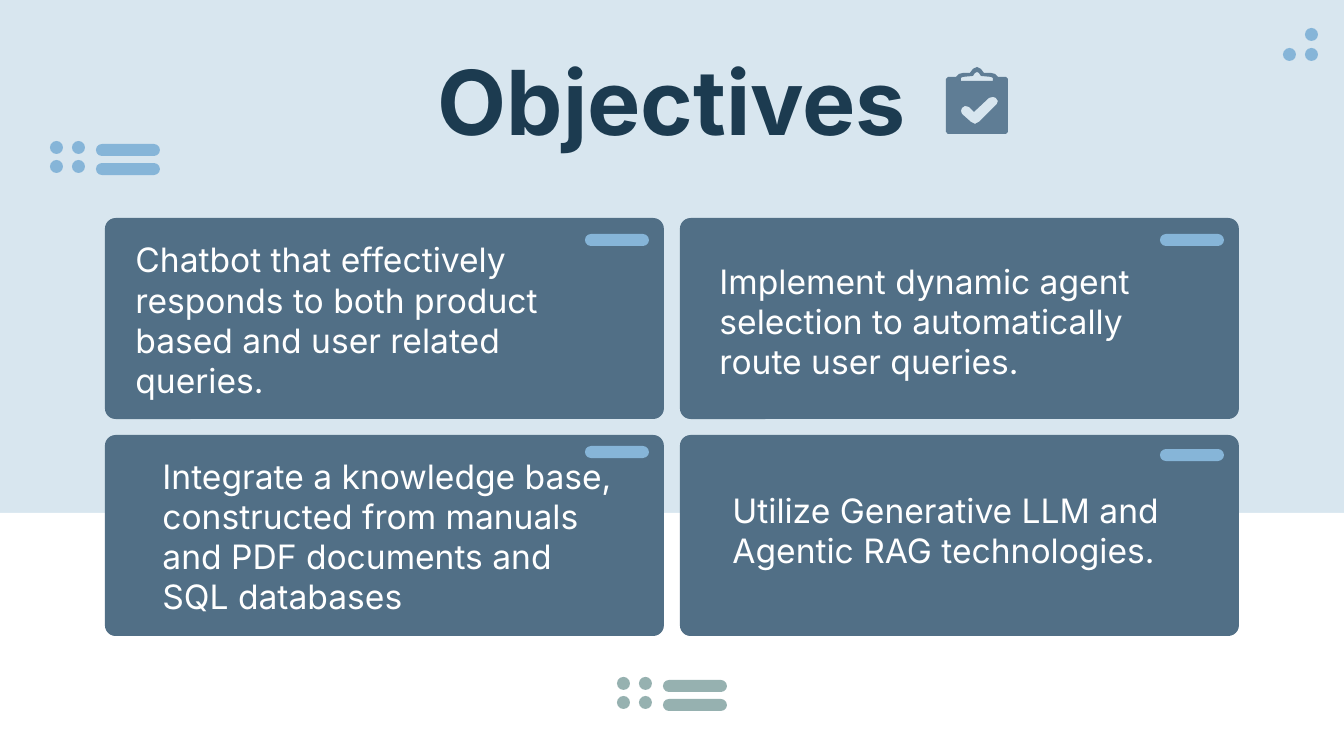
from lxml import etree
from pptx import Presentation
from pptx import util as u
from pptx.dml.color import RGBColor
from pptx.enum import shapes, text
from pptx.oxml.ns import qn

PX = 914400 / 134.4  # EMU per px
WIDTH, HEIGHT = 1344, 756
SKY, WHITE, BLUE, SAGE = "D8E6EF", "FFFFFF", "86B5D8", "96B1B0"
NAVY, SLATE, STEEL = "1C3B50", "516F86", "5F7D95"

# Content: wording, text box (left, top, width, height), anchor, top of the accent bar
TITLE = ("Objectives", (105, 32, 1134, 109))
OBJECTIVES = [
    ("Chatbot that effectively responds to both product based and user related queries.",
     (122, 251, 527, 138), "MIDDLE", 234),
    ("Implement dynamic agent selection to automatically route user queries.",
     (706, 247, 507, 120), "TOP", 234),
    ("Integrate a knowledge base, constructed from manuals and PDF documents and SQL databases",
     (149, 442, 492, 151), "TOP", 446),
    ("Utilize Generative LLM and Agentic RAG technologies.",
     (719, 476, 482, 122), "TOP", 449),
]

# Decoration
CARD_LEFT, CARD_TOP, CARD_W, CARD_H, GAP = 105, 218, 559, 201, 16
DOT, BAR_W, BAR_H = 13, 64, 12
MARKERS = [(50, 141, BLUE), (617, 677, SAGE)]
CORNER_DOTS = [(1305, 28), (1283, 48), (1305, 48)]

# Clipboard: left halves, mirrored about the axis, and the tick
AXIS = 977
BOARD_HALF = [(977, 67), (973, 69), (970, 73), (963, 73), (959, 74), (956, 77),
              (948, 77), (946, 79), (946, 132), (948, 134)]
CLIP_HALF = [(977, 72), (975, 73), (973, 76), (963, 77), (961, 78), (961, 81)]
TICK = [(993, 97), (996, 98), (998, 101), (997, 104), (979, 122), (975, 124), (971, 122),
        (962, 114), (961, 111), (962, 108), (965, 106), (969, 107), (974, 112), (989, 98)]


def emu(px):
    return u.Emu(round(px * PX))


def rgb(value):
    return RGBColor.from_string(value)


def paint(shape, colour):
    shape.fill.solid()
    shape.fill.fore_color.rgb = rgb(colour)
    shape.line.fill.background()
    shape.shadow.inherit = False


def add_block(kind, left, top, width, height, colour, corner=None):
    block = slide.shapes.add_shape(kind, *map(emu, (left, top, width, height)))
    if corner is not None:
        block.adjustments[0] = corner
    paint(block, colour)


def add_dot(left, top, colour):
    add_block(shapes.MSO_SHAPE.OVAL, left, top, DOT, DOT, colour)


def add_bar(left, top, colour):
    add_block(shapes.MSO_SHAPE.ROUNDED_RECTANGLE, left, top, BAR_W, BAR_H, colour, 0.5)


def mirrored(half):
    return half + [(2 * AXIS - x, y) for x, y in reversed(half) if x != AXIS]


def write(holder, words, box, size, colour, bold=False, align="LEFT", anchor="TOP"):
    slide.shapes._spTree.append(holder._element)  # bring in front of the cards
    holder.left, holder.top, holder.width, holder.height = map(emu, box)
    frame = holder.text_frame
    frame.word_wrap = True
    frame.auto_size = text.MSO_AUTO_SIZE.NONE
    frame.vertical_anchor = text.MSO_ANCHOR[anchor]
    frame.margin_left = frame.margin_right = u.Inches(0.1)
    frame.margin_top = frame.margin_bottom = u.Inches(0.1)
    paragraph = frame.paragraphs[0]
    paragraph.alignment = text.PP_ALIGN[align]
    paragraph.space_before = u.Pt(0)
    properties = paragraph._p.get_or_add_pPr()
    properties.set("marL", "0")
    properties.set("indent", "0")
    etree.SubElement(properties, qn("a:buNone"))
    run = paragraph.add_run()
    run.text = words
    run.font.name, run.font.size, run.font.bold = "Inter", u.Pt(size), bold
    run.font.color.rgb = rgb(colour)


prs = Presentation()
prs.slide_width, prs.slide_height = emu(WIDTH), emu(HEIGHT)
slide = prs.slides.add_slide(prs.slide_layouts[4])  # title and four bodies
title, *bodies = [p for p in slide.placeholders if p.placeholder_format.idx < 5]

# Background with white lower band
slide.background.fill.solid()
slide.background.fill.fore_color.rgb = rgb(SKY)
add_block(shapes.MSO_SHAPE.RECTANGLE, 0, 513, WIDTH, HEIGHT - 513, WHITE)

# Corner dots and dot-and-bar markers
for x, y in CORNER_DOTS:
    add_dot(x, y, BLUE)
for x, y, colour in MARKERS:
    for row in range(2):
        for column in range(2):
            add_dot(x + 22 * column, y + 19 * row, colour)
        add_bar(x + 46, y + 3 + 19 * row, colour)

# Title and cards
write(title, *TITLE, size=48, colour=NAVY, bold=True, align="CENTER")
for i, (words, box, anchor, bar_top) in enumerate(OBJECTIVES):
    row, column = divmod(i, 2)
    left = CARD_LEFT + column * (CARD_W + GAP)
    top = CARD_TOP + row * (CARD_H + GAP)
    add_block(shapes.MSO_SHAPE.ROUNDED_RECTANGLE, left, top, CARD_W, CARD_H, SLATE, 0.053)
    write(bodies[i], words, box, size=18, colour=WHITE, anchor=anchor)
    add_bar(left + CARD_W - BAR_W - 15, bar_top, BLUE)

# Clipboard icon: the clip and the tick are holes in the board
board, *holes = mirrored(BOARD_HALF), mirrored(CLIP_HALF), TICK
outline = slide.shapes.build_freeform(*board[0], scale=PX)
outline.add_line_segments(board[1:], close=True)
for hole in holes:
    outline.move_to(*hole[0])
    outline.add_line_segments(hole[1:], close=True)
paint(outline.convert_to_shape(), STEEL)

prs.save("out.pptx")
